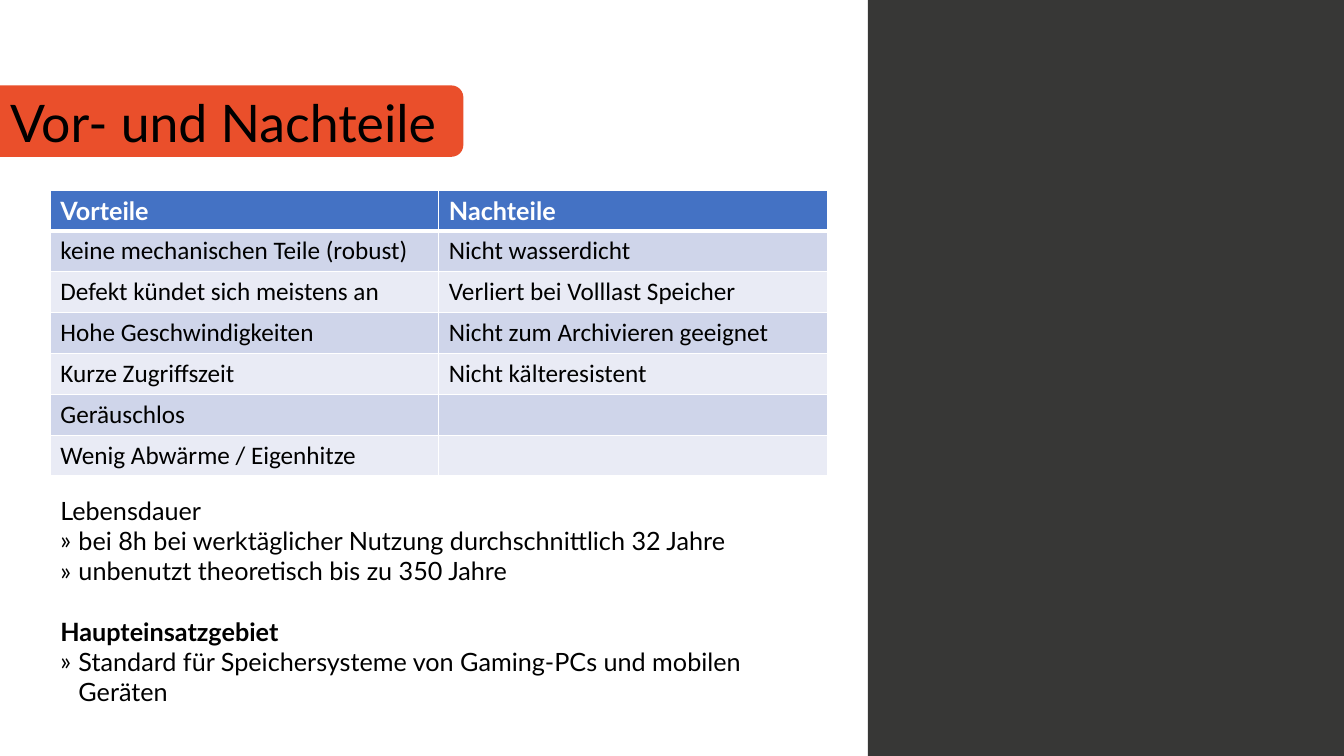
"""Build the slide on advantages and drawbacks, with a table and notes on lifetime and use."""
import dataclasses

import lxml.etree
import pptx
import pptx.dml.color
import pptx.enum.shapes
import pptx.enum.text
import pptx.oxml.ns
import pptx.util

Pt = pptx.util.Pt
qn = pptx.oxml.ns.qn
MSO_SHAPE = pptx.enum.shapes.MSO_SHAPE


@dataclasses.dataclass(frozen=True)
class Theme:
    banner: str = "EA4F2B"
    panel: str = "373736"
    header: str = "4472C4"
    bands: tuple[str, str] = ("CFD5EA", "E9EBF5")
    white: str = "FFFFFF"
    text: str = "000000"
    font: str = "Lato"
    cell_font: str = "Calibri"
    title_size: float = 37
    body_size: float = 18


@dataclasses.dataclass(frozen=True)
class Block:
    kind: MSO_SHAPE
    left: float
    top: float
    width: float
    height: float
    color: str


@dataclasses.dataclass(frozen=True)
class Line:
    text: str
    bold: bool = False
    bullet: bool = False
    before: float = 0


THEME = Theme()
BANNER = Block(MSO_SHAPE.ROUNDED_RECTANGLE, -13, 61, 344, 51, THEME.banner)
PANEL = Block(MSO_SHAPE.RECTANGLE, 620, 0, 340, 540, THEME.panel)
ROW_HEIGHT = 28.8
BULLET_INDENT = 13
ROWS = [
    ("Vorteile", "Nachteile"),
    ("keine mechanischen Teile (robust)", "Nicht wasserdicht"),
    ("Defekt kündet sich meistens an", "Verliert bei Volllast Speicher"),
    ("Hohe Geschwindigkeiten", "Nicht zum Archivieren geeignet"),
    ("Kurze Zugriffszeit", "Nicht kälteresistent"),
    ("Geräuschlos", ""),
    ("Wenig Abwärme / Eigenhitze", ""),
]
LINES = [
    Line("Lebensdauer"),
    Line("bei 8h bei werktäglicher Nutzung durchschnittlich 32 Jahre", bullet=True),
    Line("unbenutzt theoretisch bis zu 350 Jahre", bullet=True),
    Line("Haupteinsatzgebiet", bold=True, before=21.6),
    Line("Standard für Speichersysteme von Gaming-PCs und mobilen Geräten", bullet=True),
]


def rgb(color: str) -> pptx.dml.color.RGBColor:
    return pptx.dml.color.RGBColor.from_string(color)


def write(p, text: str, *, size: float = THEME.body_size, font: str = THEME.font,
          color: str = THEME.text, bold: bool = False) -> None:
    if not text:
        return
    r = p.add_run()
    r.text = text
    r.font.size = Pt(size)
    r.font.name = font
    r.font.bold = bold
    r.font.color.rgb = rgb(color)


def add_block(slide, block: Block):
    sp = slide.shapes.add_shape(block.kind, Pt(block.left), Pt(block.top),
                                Pt(block.width), Pt(block.height))
    sp.shadow.inherit = False
    sp.fill.solid()
    sp.fill.fore_color.rgb = rgb(block.color)
    sp.line.fill.background()
    return sp


def add_title(slide, text: str) -> None:
    sp = slide.shapes.title
    sp.left, sp.top, sp.width, sp.height = Pt(0), Pt(61), Pt(378), Pt(52)
    tf = sp.text_frame
    tf.auto_size = pptx.enum.text.MSO_AUTO_SIZE.NONE
    tf.vertical_anchor = pptx.enum.text.MSO_ANCHOR.TOP
    p = tf.paragraphs[0]
    p.alignment = pptx.enum.text.PP_ALIGN.LEFT
    write(p, text, size=THEME.title_size)
    sp.element.addprevious(add_block(slide, BANNER).element)


def set_borders(cell, widths: dict[str, float]) -> None:
    props = cell.fill._xPr
    for position, (side, width) in enumerate(widths.items()):
        ln = lxml.etree.Element(qn(f"a:{side}"), w=str(Pt(width)))
        fill = lxml.etree.SubElement(ln, qn("a:solidFill"))
        lxml.etree.SubElement(fill, qn("a:srgbClr"), val=THEME.white)
        props.insert(position, ln)


def add_pros_cons(slide) -> None:
    frame = slide.shapes.add_table(len(ROWS), 2, Pt(36), Pt(136), Pt(555),
                                   Pt(ROW_HEIGHT * len(ROWS)))
    for i, texts in enumerate(ROWS):
        head = i == 0
        for j, text in enumerate(texts):
            cell = frame.table.cell(i, j)
            cell.fill.solid()
            cell.fill.fore_color.rgb = rgb(THEME.header if head else THEME.bands[(i - 1) % 2])
            set_borders(cell, {"lnL": 1, "lnR": 1, "lnT": 3 if i == 1 else 1,
                               "lnB": 3 if head else 1})
            write(cell.text_frame.paragraphs[0], text, bold=head,
                  font=THEME.font if head else THEME.cell_font,
                  color=THEME.white if head else THEME.text)


def add_bullet(p) -> None:
    props = p._p.get_or_add_pPr()
    props.set("marL", str(Pt(BULLET_INDENT)))
    props.set("indent", str(-Pt(BULLET_INDENT)))
    lxml.etree.SubElement(props, qn("a:buFont"), typeface=THEME.font)
    lxml.etree.SubElement(props, qn("a:buChar"), char="»")


def add_notes_on_use(slide) -> None:
    tf = slide.shapes.add_textbox(Pt(36), Pt(350), Pt(524), Pt(160)).text_frame
    tf.word_wrap = True
    for i, line in enumerate(LINES):
        p = tf.paragraphs[0] if i == 0 else tf.add_paragraph()
        if line.before:
            p.space_before = Pt(line.before)
        if line.bullet:
            add_bullet(p)
        write(p, line.text, bold=line.bold)


def main() -> None:
    prs = pptx.Presentation()
    prs.slide_width, prs.slide_height = Pt(960), Pt(540)
    slide = prs.slides.add_slide(prs.slide_layouts.get_by_name("Title Only"))
    add_title(slide, "Vor- und Nachteile")
    add_block(slide, PANEL)
    add_pros_cons(slide)
    add_notes_on_use(slide)
    prs.save("out.pptx")


if __name__ == "__main__":
    main()
